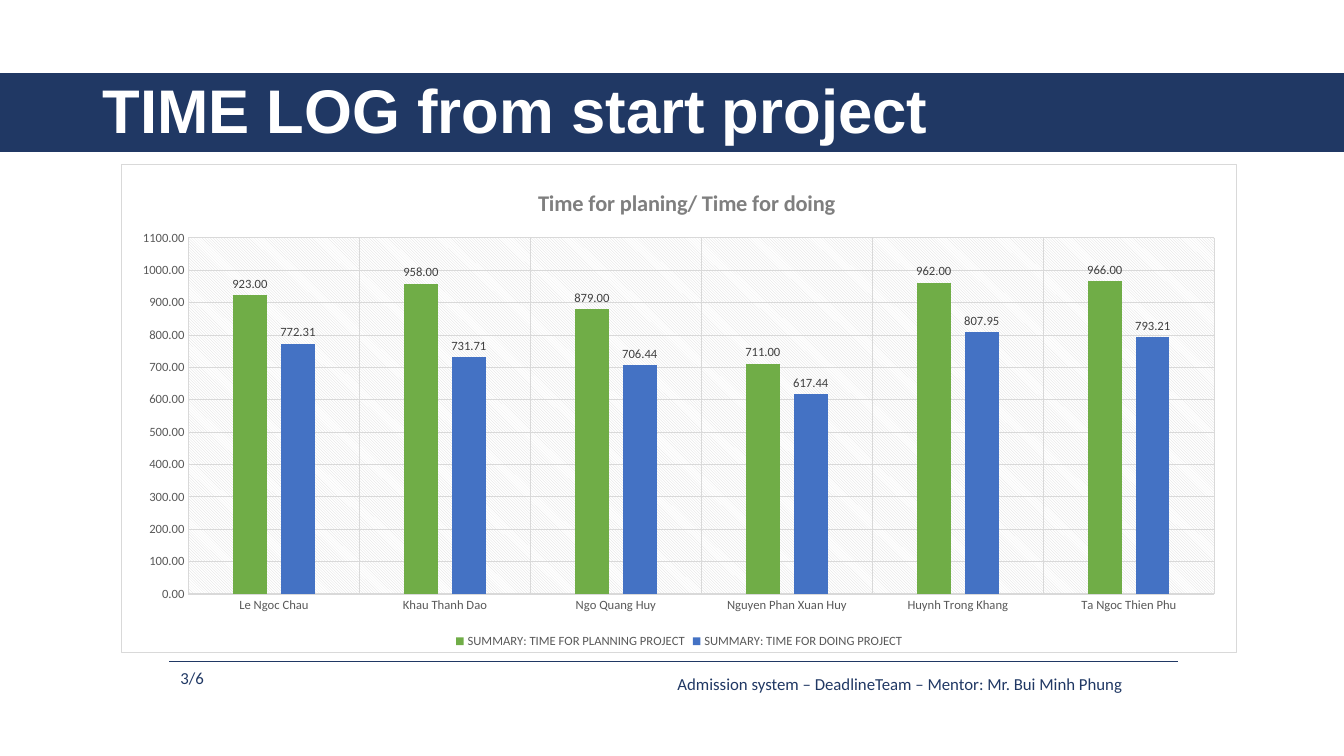
import dataclasses
import typing

import pptx
import pptx.chart.data
import pptx.dml.color
import pptx.enum.chart
import pptx.enum.dml
import pptx.enum.shapes
import pptx.enum.text
import pptx.oxml
import pptx.oxml.ns
import pptx.util

Inches = pptx.util.Inches
Pt = pptx.util.Pt
qn = pptx.oxml.ns.qn
enum = pptx.enum

HUES = {
    "navy": "203864", "white": "FFFFFF", "grid": "D9D9D9", "axis": "595959",
    "label": "404040", "head": "7F7F7F", "plan": "70AD47", "done": "4472C4",
}
NAMES = ["Le Ngoc Chau", "Khau Thanh Dao", "Ngo Quang Huy",
         "Nguyen Phan Xuan Huy", "Huynh Trong Khang", "Ta Ngoc Thien Phu"]
SPACES = " ".join(pptx.oxml.ns.nsdecls(p) for p in ("c", "a"))


@dataclasses.dataclass
class Note:
    """A line of footer text and its box in inches."""
    text: str
    box: tuple[float, float, float, float]
    wrap: bool


@dataclasses.dataclass
class Span:
    """A chart series with its colour."""
    name: str
    hue: str
    hours: list[float]


NOTES = [
    Note("Admission system – DeadlineTeam – Mentor: Mr. Bui Minh Phung",
         (6.62, 6.63, 5.08, 0.3), False),
    Note("3/6", (1.69, 6.58, 0.51, 0.3), True),
]
SPANS = [
    Span("SUMMARY: TIME FOR PLANNING PROJECT", "plan",
         [923, 958, 879, 711, 962, 966]),
    Span("SUMMARY: TIME FOR DOING PROJECT", "done",
         [772.31, 731.71, 706.44, 617.44, 807.95, 793.21]),
]


def rgb(hue: str) -> pptx.dml.color.RGBColor:
    """Look up a named colour."""
    return pptx.dml.color.RGBColor.from_string(HUES[hue])


def apply(item: typing.Any, values: dict[str, typing.Any]) -> None:
    """Set each format value on the item."""
    for key, value in values.items():
        setattr(item, key, value)


def style(font: typing.Any, size: float, hue: str, bold: bool = False,
          name: str = "Calibri") -> None:
    """Format a font."""
    apply(font, {"size": Pt(size), "bold": bold, "name": name})
    font.color.rgb = rgb(hue)


def stroke(line: typing.Any, hue: str, width: float) -> None:
    """Format a solid line."""
    line.color.rgb = rgb(hue)
    line.width = Pt(width)


def solid(hue: str) -> str:
    """Give the XML of a solid fill."""
    return f'<a:solidFill><a:srgbClr val="{HUES[hue]}"/></a:solidFill>'


def paint(body: str) -> typing.Any:
    """Make chart shape properties from fill and line XML."""
    return pptx.oxml.parse_xml(f"<c:spPr {SPACES}>{body}</c:spPr>")


def place(node: typing.Any, index: int, frame: dict[str, float],
          inner: bool = False) -> None:
    """Fix a chart part at fractions of the chart area."""
    old = node.find(qn("c:layout"))
    if old is not None:
        node.remove(old)
    body = '<c:layoutTarget val="inner"/>' if inner else ""
    body += '<c:xMode val="edge"/><c:yMode val="edge"/>'
    body += "".join(f'<c:{key} val="{val}"/>' for key, val in frame.items())
    node.insert(index, pptx.oxml.parse_xml(
        f"<c:layout {SPACES}><c:manualLayout>{body}"
        "</c:manualLayout></c:layout>"))


def add_head(slide: typing.Any) -> None:
    """Draw the navy band and set the title on it."""
    band = slide.shapes.add_shape(
        enum.shapes.MSO_SHAPE.RECTANGLE, 0, Inches(0.73),
        Inches(13.33), Inches(0.77))
    band.shadow.inherit = False
    band.fill.solid()
    band.fill.fore_color.rgb = rgb("navy")
    stroke(band.line, "navy", 1)
    title = slide.shapes.title
    apply(title, {"left": Inches(0.92), "top": Inches(0.4),
                  "width": Inches(11.5), "height": Inches(1.45)})
    slide.shapes._spTree.append(title.element)
    title.text_frame.text = "TIME LOG from start project"
    title.text_frame.vertical_anchor = enum.text.MSO_ANCHOR.MIDDLE
    para = title.text_frame.paragraphs[0]
    apply(para, {"alignment": enum.text.PP_ALIGN.LEFT, "line_spacing": 0.9})
    style(para.runs[0].font, 44, "white", True, "Arial")


def add_note(slide: typing.Any, note: Note) -> None:
    """Write one footer text."""
    box = slide.shapes.add_textbox(*map(Inches, note.box))
    frame = box.text_frame
    apply(frame, {"text": note.text, "word_wrap": note.wrap,
                  "auto_size": enum.text.MSO_AUTO_SIZE.SHAPE_TO_FIT_TEXT})
    style(frame.paragraphs[0].runs[0].font, 12, "navy")


def add_foot(slide: typing.Any) -> None:
    """Draw the footer rule and its texts."""
    rule = slide.shapes.add_connector(
        enum.shapes.MSO_CONNECTOR.STRAIGHT,
        *map(Inches, (1.68, 6.56, 11.68, 6.56)))
    stroke(rule.line, "navy", 0.5)
    rule.element.spPr.append(pptx.oxml.parse_xml(
        f'<a:effectLst {pptx.oxml.ns.nsdecls("a")}/>'))
    for note in NOTES:
        add_note(slide, note)


def style_axes(chart: typing.Any) -> None:
    """Format both axes and their grids."""
    none = enum.chart.XL_TICK_MARK.NONE
    for axis in (chart.category_axis, chart.value_axis):
        apply(axis, {"major_tick_mark": none, "minor_tick_mark": none,
                     "has_major_gridlines": True})
        style(axis.tick_labels.font, 9, "axis")
        stroke(axis.major_gridlines.format.line, "grid", 0.75)
    stroke(chart.category_axis.format.line, "grid", 0.75)
    scale = chart.value_axis
    apply(scale, {"minimum_scale": 0, "maximum_scale": 1100,
                  "major_unit": 100})
    apply(scale.tick_labels, {"number_format": "0.00",
                              "number_format_is_linked": False})
    scale.format.line.fill.background()


def style_bars(chart: typing.Any) -> None:
    """Colour the columns and label their values."""
    plot = chart.plots[0]
    apply(plot, {"gap_width": 267, "overlap": -43,
                 "vary_by_categories": False})
    for bars, span in zip(plot.series, SPANS):
        bars.format.fill.solid()
        bars.format.fill.fore_color.rgb = rgb(span.hue)
        labels = bars.data_labels
        apply(labels, {"show_value": True, "number_format": "0.00",
                       "number_format_is_linked": False,
                       "position": enum.chart.XL_LABEL_POSITION.OUTSIDE_END})
        style(labels.font, 9, "label")


def add_chart(slide: typing.Any) -> None:
    """Build the planned and done hours chart."""
    data = pptx.chart.data.CategoryChartData(number_format="0.00")
    data.categories = NAMES
    for span in SPANS:
        data.add_series(span.name, span.hours)
    chart = slide.shapes.add_chart(
        enum.chart.XL_CHART_TYPE.COLUMN_CLUSTERED,
        *map(Inches, (1.2, 1.63, 11.07, 4.85)), data).chart
    apply(chart, {"has_title": True, "has_legend": True})
    style(chart.font, 10, "axis")
    head = chart.chart_title
    head.text_frame.text = "Time for planing/ Time for doing"
    style(head.text_frame.paragraphs[0].runs[0].font, 16, "head", True)
    apply(chart.legend, {"include_in_layout": False,
                         "position": enum.chart.XL_LEGEND_POSITION.BOTTOM})
    style(chart.legend.font, 9, "axis")
    style_axes(chart)
    style_bars(chart)
    root = chart.element.find(qn("c:chart"))
    area = root.find(qn("c:plotArea"))
    place(root.find(qn("c:title")), 1, {"x": 0.37, "y": 0.04})
    place(area, 0, {"x": 0.06, "y": 0.15, "w": 0.92, "h": 0.73}, True)
    area.append(paint(
        f'<a:pattFill prst="ltDnDiag"><a:fgClr><a:srgbClr val="{HUES["grid"]}"/>'
        f'</a:fgClr><a:bgClr><a:srgbClr val="{HUES["white"]}"/></a:bgClr>'
        "</a:pattFill><a:ln><a:noFill/></a:ln>"))
    root.addnext(paint(
        f'{solid("white")}<a:ln w="{Pt(0.75)}">{solid("grid")}</a:ln>'))


deck = pptx.Presentation()
apply(deck, {"slide_width": Inches(13.33), "slide_height": Inches(7.5)})
page = deck.slides.add_slide(deck.slide_layouts[5])
add_head(page)
add_foot(page)
add_chart(page)
deck.save("out.pptx")
